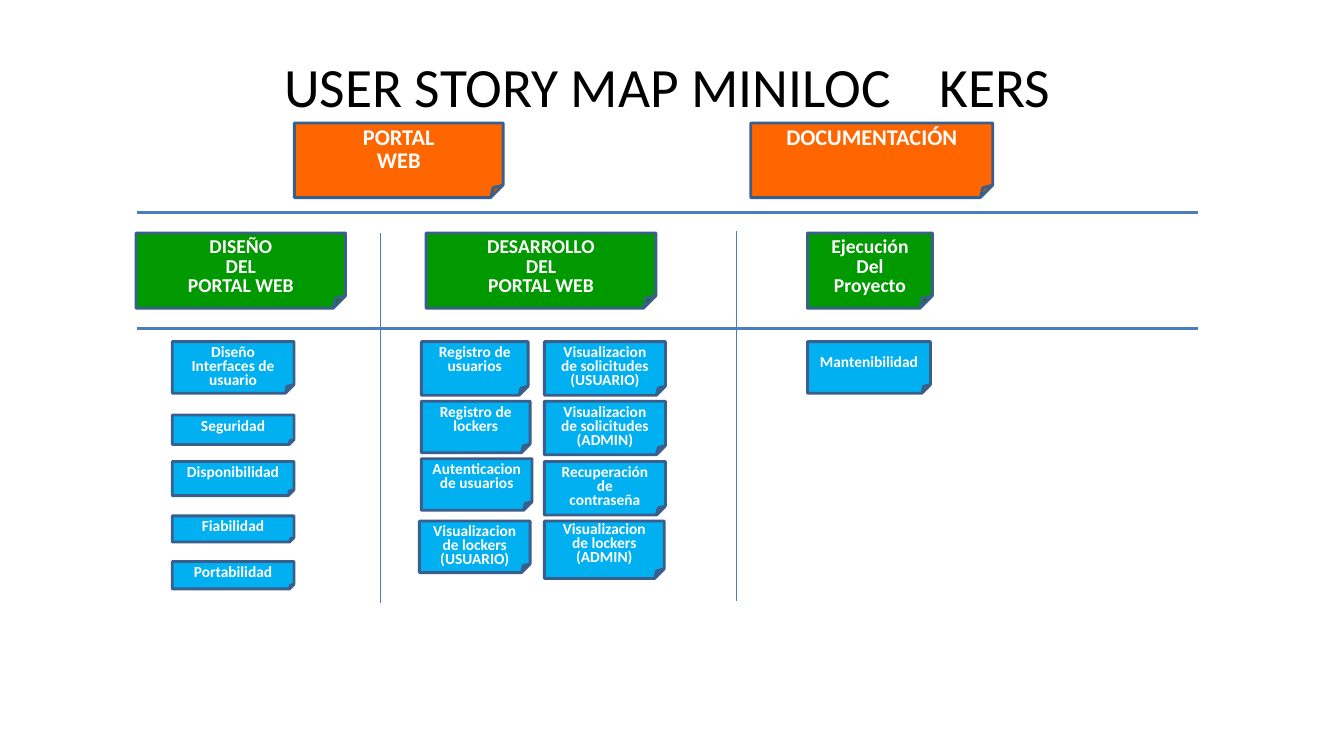
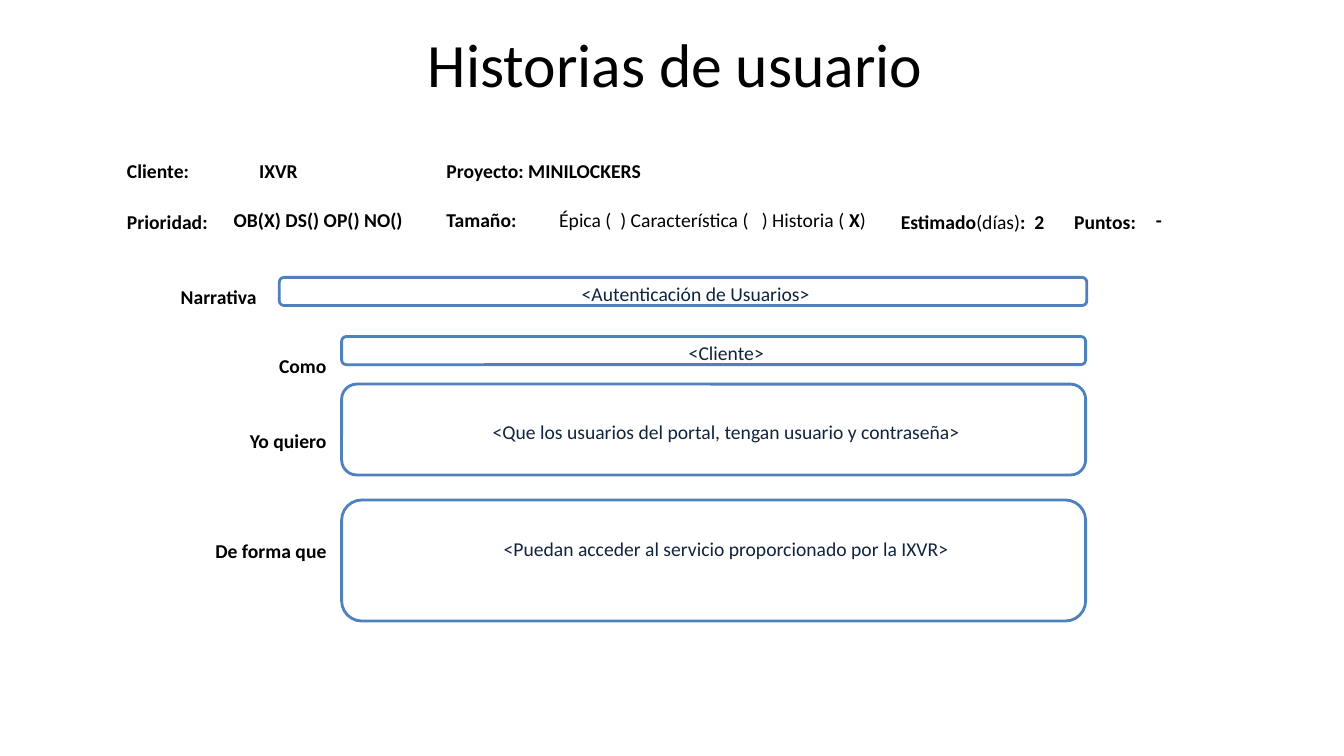
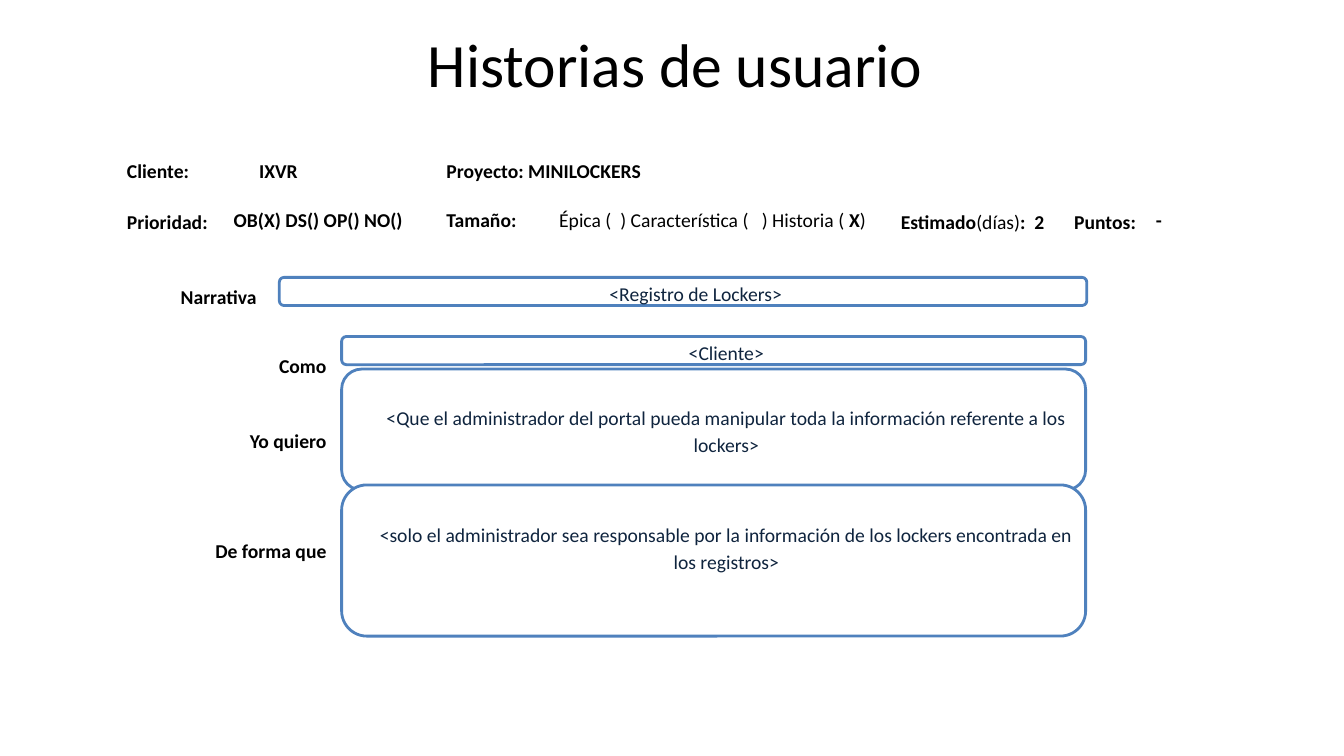
from dataclasses import dataclass

from lxml import etree
from pptx import Presentation
from pptx.dml.color import RGBColor
from pptx.enum.shapes import MSO_CONNECTOR, MSO_SHAPE
from pptx.enum.text import MSO_ANCHOR, MSO_AUTO_SIZE, PP_ALIGN
from pptx.oxml.ns import qn
from pptx.slide import Slide
from pptx.table import Table
from pptx.text.text import TextFrame
from pptx.util import Cm, Pt

# Enum members
FOLDED = MSO_SHAPE.FOLDED_CORNER
ROUNDED = MSO_SHAPE.ROUNDED_RECTANGLE
STRAIGHT = MSO_CONNECTOR.STRAIGHT
TOP, MIDDLE = MSO_ANCHOR.TOP, MSO_ANCHOR.MIDDLE
LEFT, CENTER, RIGHT = PP_ALIGN.LEFT, PP_ALIGN.CENTER, PP_ALIGN.RIGHT
NO_AUTOFIT = MSO_AUTO_SIZE.NONE

# Shared style
FONT = "Calibri"
BLACK = RGBColor(0x00, 0x00, 0x00)
WHITE = RGBColor(0xFF, 0xFF, 0xFF)
ORANGE = RGBColor(0xFF, 0x66, 0x00)
GREEN = RGBColor(0x00, 0x99, 0x00)
SKY = RGBColor(0x00, 0xB0, 0xF0)
NOTE_EDGE = RGBColor(0x3A, 0x5F, 0x8C)
RULE_BLUE = RGBColor(0x4B, 0x7E, 0xBC)
BOX_EDGE = RGBColor(0x4F, 0x81, 0xBD)
NAVY = RGBColor(0x0F, 0x24, 0x3E)
NO_GRID_STYLE = "{2D5ABB26-0587-4C30-8999-92F81FD0307C}"
FORM_SIZE = 14
FORM_SPACING = 1.15
INDENT = Cm(0.64)
TITLE_ONLY = 5

Box = tuple[float, float, float, float]  # left, top, width, height in cm
Runs = list[tuple[str, bool]]  # text, bold


@dataclass(frozen=True)
class NoteStyle:
    fill: RGBColor
    size: float
    spacing: float


@dataclass(frozen=True)
class Note:
    text: str
    box: Box
    style: NoteStyle
    anchor: MSO_ANCHOR = TOP


@dataclass(frozen=True)
class Rule:
    start: tuple[float, float]
    end: tuple[float, float]
    width: float


@dataclass(frozen=True)
class Field:
    row: int
    column: int
    runs: Runs
    align: PP_ALIGN = LEFT
    spacing: float = FORM_SPACING
    indented: bool = False


@dataclass(frozen=True)
class Answer:
    text: str
    box: Box
    bottom_inset: float = 0


@dataclass(frozen=True)
class Story:
    narrative: str
    role: str
    wish: str
    purpose: str
    wish_top: float
    wish_height: float
    purpose_top: float
    purpose_height: float


def to_cm(box: Box) -> list[Cm]:
    return [Cm(length) for length in box]


def format_text(frame: TextFrame, size: float, color: RGBColor, align: PP_ALIGN,
                spacing: float | Pt, bold: bool = False) -> None:
    for paragraph in frame.paragraphs:
        paragraph.alignment = align
        paragraph.line_spacing = spacing
        for run in paragraph.runs:
            run.font.name = FONT
            run.font.size = Pt(size)
            run.font.bold = bold
            run.font.color.rgb = color


def indent(frame: TextFrame) -> None:
    for paragraph in frame.paragraphs:
        properties = paragraph._p.get_or_add_pPr()
        properties.set("marL", str(INDENT))
        properties.set("indent", "0")


def add_titled_slide(title: str, box: Box, size: float) -> Slide:
    slide = deck.slides.add_slide(deck.slide_layouts[TITLE_ONLY])
    heading = slide.shapes.title
    heading.left, heading.top, heading.width, heading.height = to_cm(box)
    frame = heading.text_frame
    frame.text = title
    frame.auto_size = NO_AUTOFIT
    frame.vertical_anchor = MIDDLE
    format_text(frame, size, BLACK, CENTER, 1.0)
    return slide


def add_panel(slide: Slide, preset: MSO_SHAPE, box: Box, text: str, fill: RGBColor,
              edge: RGBColor, anchor: MSO_ANCHOR) -> TextFrame:
    panel = slide.shapes.add_shape(preset, *to_cm(box))
    panel.shadow.inherit = False
    panel.fill.solid()
    panel.fill.fore_color.rgb = fill
    panel.line.color.rgb = edge
    panel.line.width = Pt(2)
    frame = panel.text_frame
    frame.word_wrap = True
    frame.vertical_anchor = anchor
    frame.text = text
    return frame


def draw_note(slide: Slide, note: Note) -> None:
    style = note.style
    frame = add_panel(slide, FOLDED, note.box, note.text, style.fill, NOTE_EDGE, note.anchor)
    format_text(frame, style.size, WHITE, CENTER, Pt(style.spacing), bold=True)


def draw_rule(slide: Slide, rule: Rule) -> None:
    line = slide.shapes.add_connector(STRAIGHT, *to_cm(rule.start + rule.end))
    line.line.color.rgb = RULE_BLUE
    line.line.width = Pt(rule.width)
    etree.SubElement(line._element.spPr, qn("a:effectLst"))


def draw_answer(slide: Slide, answer: Answer) -> None:
    frame = add_panel(slide, ROUNDED, answer.box, answer.text, WHITE, BOX_EDGE, MIDDLE)
    frame.margin_left = frame.margin_top = frame.margin_right = 0
    frame.margin_bottom = Cm(answer.bottom_inset)
    format_text(frame, FORM_SIZE, NAVY, CENTER, FORM_SPACING)
    indent(frame)


def fill_field(table: Table, field: Field) -> None:
    frame = table.cell(field.row, field.column).text_frame
    paragraph = frame.paragraphs[0]
    for text, _ in field.runs:
        paragraph.add_run().text = text
    format_text(frame, FORM_SIZE, BLACK, field.align, field.spacing)
    for run, (_, bold) in zip(paragraph.runs, field.runs):
        run.font.bold = bold
    if field.indented:
        indent(frame)


def draw_form(slide: Slide, left: float, top: float, widths: list[float],
              heights: list[float], merges: list[tuple[int, int, int]],
              fields: list[Field]) -> None:
    box = (left, top, sum(widths), sum(heights))
    table = slide.shapes.add_table(len(heights), len(widths), *to_cm(box)).table
    table.first_row = table.horz_banding = False
    table._tbl.tblPr.find(qn("a:tableStyleId")).text = NO_GRID_STYLE
    for column, width in zip(table.columns, widths):
        column.width = Cm(width)
    for row, height in zip(table.rows, heights):
        row.height = Cm(height)
    for cell in table.iter_cells():
        cell.fill.background()
        cell.vertical_anchor = MIDDLE
        cell.margin_left = cell.margin_right = Cm(0.18)
        cell.margin_top, cell.margin_bottom = Cm(0.05), 0
    for row, first, last in merges:
        table.cell(row, first).merge(table.cell(row, last))
    for field in fields:
        fill_field(table, field)


# Story map: activities, tasks and stories
ACTIVITY = NoteStyle(ORANGE, 16, 16)
TASK = NoteStyle(GREEN, 14, 14)
STORY = NoteStyle(SKY, 11, 10)
ACTIVITY_TOP, TASK_TOP, STORY_TOP = 3.1, 5.87, 8.61
DESIGN_X, BUILD_X, VIEW_X, RUN_X = 4.34, 10.62, 13.72, 20.35

NOTES = [
    Note("PORTAL\nWEB", (7.42, ACTIVITY_TOP, 5.26, 1.88), ACTIVITY),
    Note("DOCUMENTACIÓN", (18.92, ACTIVITY_TOP, 6.1, 1.88), ACTIVITY),
    Note("DISEÑO\nDEL\nPORTAL WEB", (3.43, TASK_TOP, 5.28, 1.9), TASK),
    Note("DESARROLLO\nDEL\nPORTAL WEB", (10.74, TASK_TOP, 5.79, 1.9), TASK),
    Note("Ejecución\nDel\nProyecto", (RUN_X, TASK_TOP, 3.15, 1.9), TASK),
    Note("Diseño Interfaces de usuario", (DESIGN_X, STORY_TOP, 3.07, 1.3), STORY),
    Note("Seguridad", (DESIGN_X, 10.46, 3.07, 0.74), STORY, MIDDLE),
    Note("Disponibilidad", (DESIGN_X, 11.63, 3.07, 0.86), STORY),
    Note("Fiabilidad", (DESIGN_X, 13, 3.07, 0.66), STORY),
    Note("Portabilidad", (DESIGN_X, 14.15, 3.07, 0.69), STORY),
    Note("Registro de usuarios", (BUILD_X, STORY_TOP, 2.69, 1.35), STORY),
    Note("Registro de lockers", (BUILD_X, 10.11, 2.74, 1.3), STORY),
    Note("Autenticacion de usuarios", (BUILD_X, 11.56, 2.79, 1.3), STORY),
    Note("Visualizacion de lockers (USUARIO)", (10.57, 13.13, 2.79, 1.3), STORY),
    Note("Visualizacion de solicitudes (USUARIO)", (VIEW_X, STORY_TOP, 3.05, 1.35), STORY),
    Note("Visualizacion de solicitudes (ADMIN)", (VIEW_X, 10.11, 3.05, 1.35), STORY),
    Note("Recuperación de\ncontraseña", (VIEW_X, 11.63, 3.05, 1.35), STORY),
    Note("Visualizacion\nde lockers\n(ADMIN)", (VIEW_X, 13.13, 3.02, 1.45), STORY, MIDDLE),
    Note("Mantenibilidad", (RUN_X, STORY_TOP, 3.1, 1.3), STORY, MIDDLE),
]
RULES = [
    Rule((3.45, 5.36), (30.18, 5.36), 2.25),
    Rule((3.45, 8.28), (30.18, 8.28), 2.25),
    Rule((9.6, 5.87), (9.6, 15.19), 0.75),
    Rule((18.57, 5.82), (18.57, 15.14), 0.75),
]

# User story form
CLIENT = "IXVR"
HEADER_FIELDS = [
    Field(0, 0, [("Cliente:", True)]),
    Field(0, 1, [(CLIENT, True)], indented=True),
    Field(0, 2, [("Proyecto: MINILOCKERS", True)]),
    Field(1, 0, [("Prioridad:", True)]),
    Field(1, 1, [("OB(X) DS() OP() NO()", True)], spacing=1.0),
    Field(1, 2, [("Tamaño:", True)], spacing=1.0),
    Field(1, 3, [("Épica (  ) Característica (   ) Historia ( ", False),
                 ("X", True), (")", False)], spacing=1.0),
    Field(1, 4, [("Estimado", True), ("(días)", False), (":  2", True)]),
    Field(1, 5, [("Puntos:", True)]),
    Field(1, 6, [("-", True)], spacing=1.0),
]
PROMPT_FIELDS = [
    Field(0, 0, [("Narrativa", True)], CENTER),
    Field(1, 0, [("Como", True)], RIGHT),
    Field(2, 0, [("Yo quiero", True)], RIGHT),
    Field(3, 0, [("De forma que", True)], RIGHT),
]
ANSWER_X, ANSWER_WIDTH = 8.61, 18.75
STORIES = [
    Story("<Autenticación de Usuarios>", "<Cliente>",
          "<Que los usuarios del portal, tengan usuario y contraseña>",
          f"<Puedan acceder al servicio proporcionado por la {CLIENT}>",
          9.68, 2.29, 12.6, 3.05),
    Story("<Registro de Lockers>", "<Cliente>",
          "<Que el administrador del portal pueda manipular toda la información "
          "referente a los lockers>",
          "<solo el administrador sea responsable por la información de los lockers "
          "encontrada en los registros>",
          9.3, 3.05, 12.22, 3.81),
]


def build_map() -> None:
    slide = add_titled_slide("USER STORY MAP MINILOC\tKERS", (4.19, 1.37, 25.25, 1.57), 39.6)
    for note in NOTES:
        draw_note(slide, note)
    for rule in RULES:
        draw_rule(slide, rule)


def build_story(story: Story) -> None:
    slide = add_titled_slide("Historias de usuario", (1.78, 0, 30.48, 3.18), 44)
    draw_form(slide, 4.01, 6.65, [3, 1.4, 19.56], [1.57, 1.9, 1.9, 3.63],
              [(0, 1, 2), (1, 0, 1), (2, 0, 1), (3, 0, 1)], PROMPT_FIELDS)
    answers = [
        Answer(story.narrative, (7.04, 6.99, 20.35, 0.71)),
        Answer(story.role, (ANSWER_X, 8.48, ANSWER_WIDTH, 0.71)),
        Answer(story.wish, (ANSWER_X, story.wish_top, ANSWER_WIDTH, story.wish_height)),
        Answer(story.purpose,
               (ANSWER_X, story.purpose_top, ANSWER_WIDTH, story.purpose_height), 0.69),
    ]
    for answer in answers:
        draw_answer(slide, answer)
    draw_form(slide, 3.02, 3.68, [2.69, 5.36, 2.84, 8.61, 4.37, 2.06, 1.17], [1.17, 1.4],
              [(0, 2, 6)], HEADER_FIELDS)


deck = Presentation()
deck.slide_width, deck.slide_height = Cm(33.87), Cm(19.05)
build_map()
for user_story in STORIES:
    build_story(user_story)
deck.save("out.pptx")
